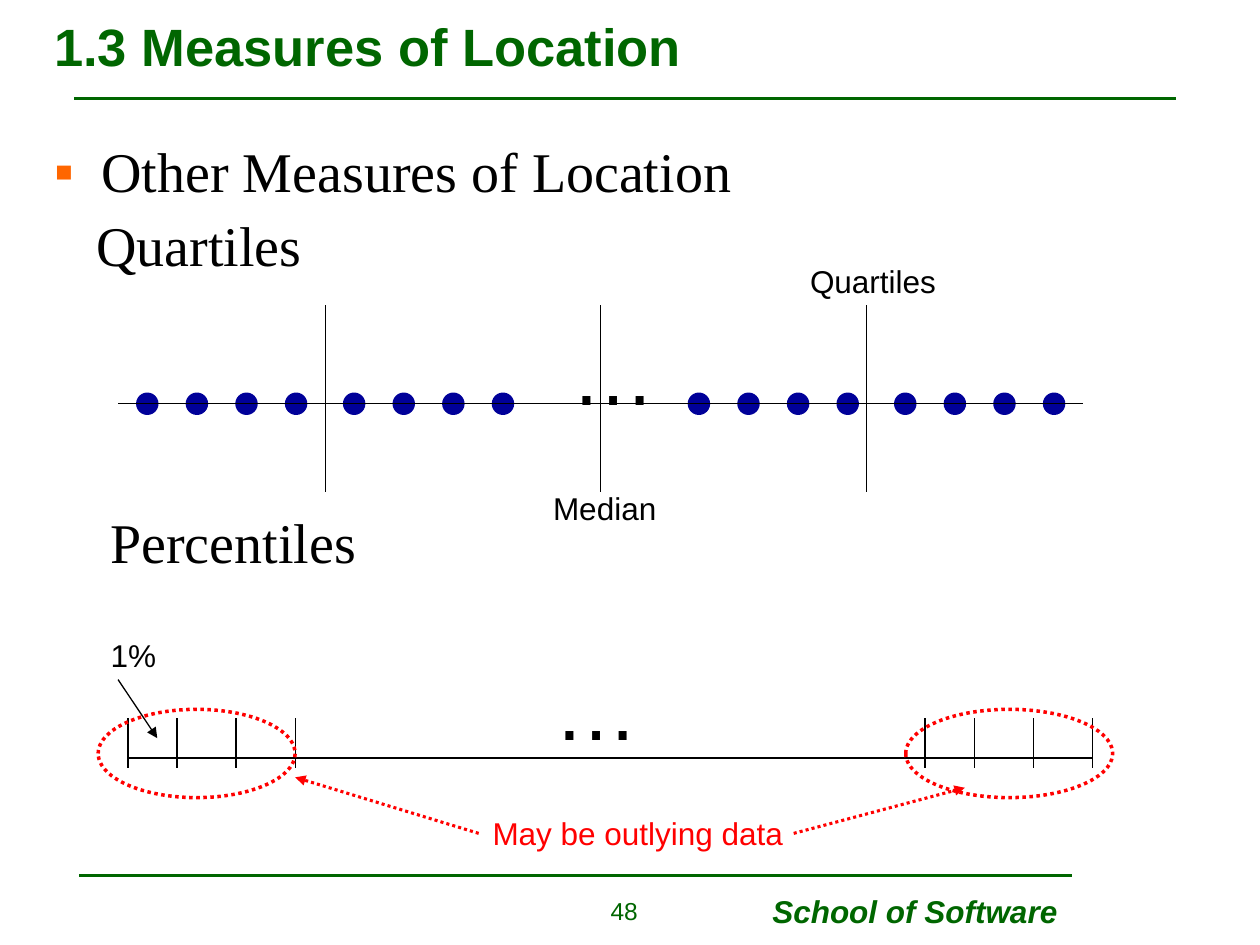
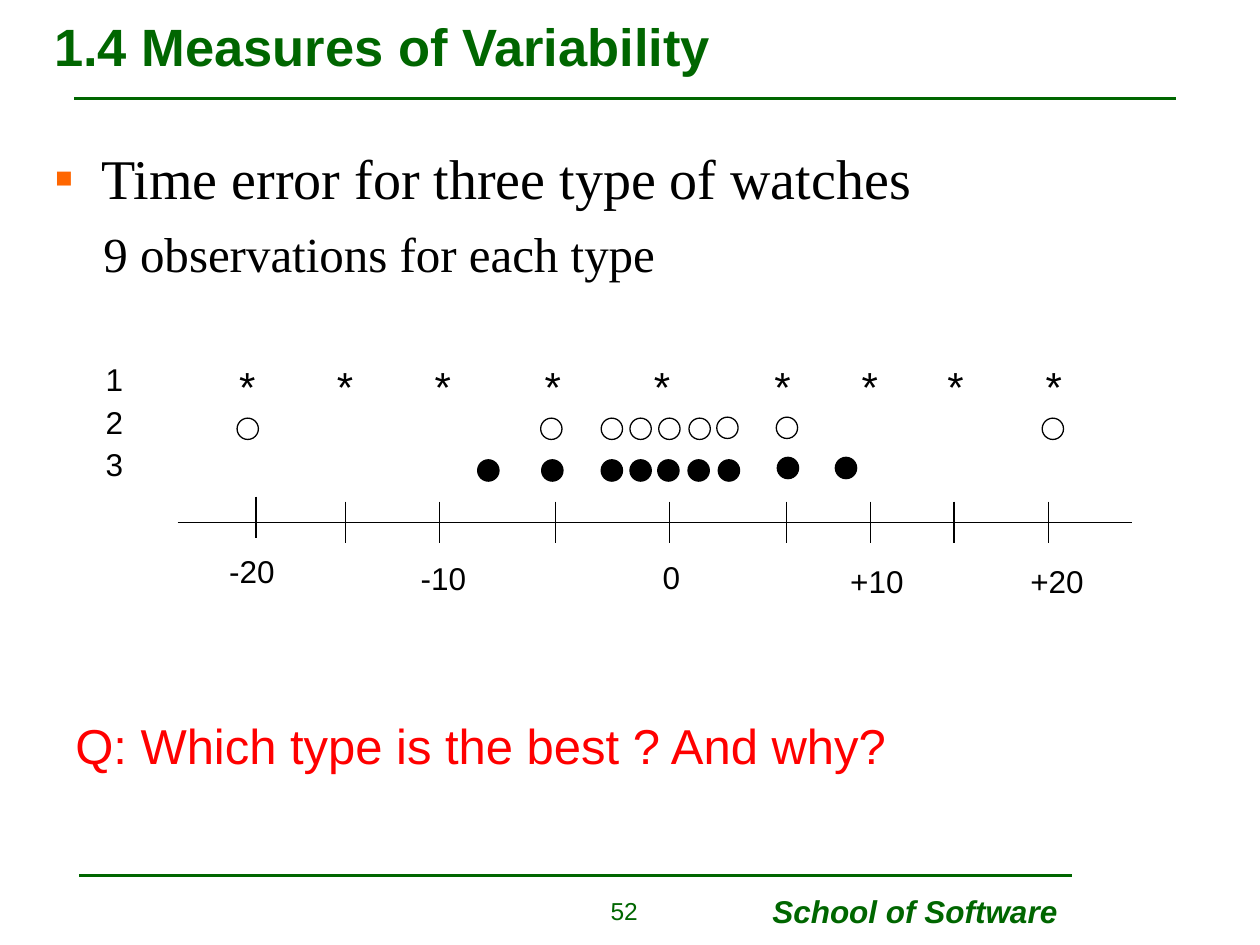
"""Build two lecture slides on measures of location and of variability."""
import pptx
import pptx.dml.color
import pptx.enum.dml
import pptx.enum.shapes
import pptx.enum.text
import pptx.oxml
import pptx.oxml.ns
import pptx.util

Cm = pptx.util.Cm
Pt = pptx.util.Pt
qn = pptx.oxml.ns.qn

COLORS = {
    "green": "006600",
    "orange": "FF6600",
    "navy": "000099",
    "red": "FF0000",
    "black": "000000",
}
SANS = "Arial"
SERIF = "Times New Roman"
DOTTED = pptx.enum.dml.MSO_LINE.ROUND_DOT
RIGHT = pptx.enum.text.PP_ALIGN.RIGHT


def rgb(name):
    return pptx.dml.color.RGBColor.from_string(COLORS[name])


def add_xml(parent, tag, **attrs):
    child = pptx.oxml.parse_xml(f'<{tag} {pptx.oxml.ns.nsdecls("a")}/>')
    for key, value in attrs.items():
        child.set(key, str(value))
    parent.append(child)
    return child


def place(sp, left, top, width, height):
    sp.left, sp.top, sp.width, sp.height = map(Cm, (left, top, width, height))


def add_run(p, text, size, color="black", font=SANS, bold=False, italic=False):
    r = p.add_run()
    r.text = text
    r.font.name, r.font.size = font, Pt(size)
    r.font.bold, r.font.italic = bold, italic
    r.font.color.rgb = rgb(color)


def add_text(s, text, box, size=18, color="black", wrap=False, align=None, tabs=(), **style):
    tf = s.shapes.add_textbox(*map(Cm, box)).text_frame
    tf.word_wrap = wrap
    p = tf.paragraphs[0]
    p.alignment = align
    if tabs:
        tab_list = add_xml(p._p.get_or_add_pPr(), "a:tabLst")
        for position in tabs:
            add_xml(tab_list, "a:tab", pos=Cm(position), algn="l")
    add_run(p, text, size, color, **style)


def add_line(s, x1, y1, x2, y2, color="black", width=0.75, dash=None, arrow=False):
    c = s.shapes.add_connector(
        pptx.enum.shapes.MSO_CONNECTOR.STRAIGHT, *map(Cm, (x1, y1, x2, y2)))
    c.line.color.rgb = rgb(color)
    c.line.width = Pt(width)
    if dash:
        c.line.dash_style = dash
    sp_pr = c._element.spPr
    if arrow:
        add_xml(sp_pr.find(qn("a:ln")), "a:tailEnd", type="triangle")
    add_xml(sp_pr, "a:effectLst")


def add_ticks(s, xs, top, bottom):
    for x in xs:
        add_line(s, x, top, x, bottom)


def add_oval(s, box, line, width, fill=None, dash=None):
    sp = s.shapes.add_shape(pptx.enum.shapes.MSO_SHAPE.OVAL, *map(Cm, box))
    sp.shadow.inherit = False
    if fill:
        sp.fill.solid()
        sp.fill.fore_color.rgb = rgb(fill)
    else:
        sp.fill.background()
    sp.line.color.rgb = rgb(line)
    sp.line.width = Pt(width)
    if dash:
        sp.line.dash_style = dash


def add_dots(s, xs, top, size, line="black", width=0.75, fill=None):
    for x in xs:
        add_oval(s, (x, top, size, size), line, width, fill)


def fill_title(s, text):
    sp = s.shapes.title
    place(sp, 0.84, 0.06, 23.72, 1.73)
    tf = sp.text_frame
    tf.auto_size = pptx.enum.text.MSO_AUTO_SIZE.NONE
    tf.vertical_anchor = pptx.enum.text.MSO_ANCHOR.MIDDLE
    p = tf.paragraphs[0]
    p.alignment = pptx.enum.text.PP_ALIGN.LEFT
    add_run(p, text, 30, "green", bold=True)


def fill_body(s, heading, lines, spacing):
    """Write a bulleted heading, then lines of (text, size, indent, space before)."""
    sp = s.placeholders[1]
    place(sp, 0.84, 2.77, 23.72, 14.68)
    tf = sp.text_frame
    tf.auto_size = pptx.enum.text.MSO_AUTO_SIZE.NONE
    for i, (text, size, indent, before) in enumerate([(heading, 32, 0.95, 0), *lines]):
        p = tf.add_paragraph() if i else tf.paragraphs[0]
        p.line_spacing = spacing
        p.space_before = Pt(before)
        p_pr = p._p.get_or_add_pPr()
        p_pr.set("marL", str(Cm(indent)))
        p_pr.set("indent", str(0 if i else -Cm(indent)))
        if i:
            add_xml(p_pr, "a:buNone")
        else:
            add_xml(add_xml(p_pr, "a:buClr"), "a:srgbClr", val=COLORS["orange"])
            add_xml(p_pr, "a:buChar", char="▪")
        add_run(p, text, size, font=SERIF)


def new_slide(prs, title, number):
    s = prs.slides.add_slide(prs.slide_layouts[1])
    fill_title(s, title)
    add_line(s, 1.5, 1.98, 23.7, 1.98, "green", 1.5)
    add_line(s, 1.6, 17.65, 21.62, 17.65, "green", 1.5)
    add_text(s, "School of Software", (15.32, 17.86, 6.25, 1.02),
             color="green", bold=True, italic=True)
    add_text(s, str(number), (10.52, 17.93, 2.59, 0.91), 14, "green", wrap=True, align=RIGHT)
    return s


def draw_quartiles(s):
    for start in (2.77, 6.94, 13.89, 18.05):
        add_dots(s, [start + i for i in range(4)], 7.94, 0.4, "navy", 1.5, "navy")
    add_text(s, "…", (11.28, 6.35, 2.18, 2.29), 48)
    add_line(s, 2.38, 8.14, 21.83, 8.14)
    add_ticks(s, (6.56, 12.1, 17.47), 6.15, 9.92)
    add_text(s, "Median", (10.9, 9.73, 2.6, 1.02))
    add_text(s, "Quartiles", (16.08, 5.16, 3.05, 1.02))


def draw_percentiles(s):
    add_line(s, 2.58, 15.28, 22.02, 15.28)
    for start in (2.58, 18.65):
        add_ticks(s, [start + dx for dx in (0, 0.99, 2.18, 3.37)], 14.48, 15.48)
    add_text(s, "…", (10.92, 13.11, 2.18, 2.29), 48)
    add_line(s, 2.38, 13.7, 3.17, 14.88, arrow=True)
    add_text(s, "1%", (1.98, 12.7, 1.42, 1.02))
    for left, width in ((1.98, 3.97), (18.26, 4.17)):
        add_oval(s, (left, 14.3, width, 1.78), "red", 2, dash=DOTTED)
    add_text(s, "May be outlying data", (9.68, 16.28, 6.7, 1.02), color="red", wrap=True)
    for x1, x2, y2 in ((9.65, 5.95, 15.67), (16, 19.45, 15.88)):
        add_line(s, x1, 16.8, x2, y2, "red", 1.75, DOTTED, arrow=True)


def draw_watch_errors(s):
    for i in range(3):
        add_text(s, str(i + 1), (1.88, 7.14 + 0.85 * i, 2.54, 1.02), wrap=True)
    star_tabs = (1.97, 3.94, 6.16, 8.36, 10.79, 12.55, 14.28, 16.26)
    add_text(s, "\t".join("*" * 9), (4.57, 7.14, 18.85, 1.27), 24, wrap=True, tabs=star_tabs)
    add_dots(s, (4.78, 10.9, 12.12, 12.7, 13.28, 13.89, 21.01), 8.43, 0.43)
    add_dots(s, (14.45, 15.65), 8.41, 0.43)
    add_dots(s, (9.63, 10.92, 12.12, 12.7, 13.26, 13.87, 14.48), 9.27, 0.43, fill="black")
    add_dots(s, (15.67, 16.84), 9.22, 0.43, fill="black")
    add_line(s, 3.58, 10.54, 22.83, 10.54)
    add_ticks(s, (5.16,), 10.01, 10.85)
    add_ticks(s, (6.96, 8.86, 11.2, 13.49, 15.85, 17.55, 19.23, 21.13), 10.11, 10.95)
    for text, left, top in (("-20", 4.37, 11), ("-10", 8.23, 11.15), ("0", 13.11, 11.13),
                            ("+10", 16.89, 11.2), ("+20", 20.52, 11.2)):
        add_text(s, text, (left, top, 1.9, 1.02), wrap=True)


def main():
    prs = pptx.Presentation()
    prs.slide_width, prs.slide_height = Cm(25.4), Cm(19.05)

    s = new_slide(prs, "1.3 Measures of Location", 48)
    fill_body(s, "Other Measures of Location",
              [("Quartiles", 32, 0.85, 8), ("Percentiles", 32, 1.13, 135)], 0.9)
    draw_quartiles(s)
    draw_percentiles(s)

    s = new_slide(prs, "1.4 Measures of Variability", 52)
    fill_body(s, "Time error for three type of watches",
              [("9 observations for each type", 28, 0.99, 7)], 1.0)
    draw_watch_errors(s)
    add_text(s, "Q: Which type is the best ? And why?", (1.27, 14.3, 16.89, 1.45), 28, "red")

    prs.save("out.pptx")


if __name__ == "__main__":
    main()
